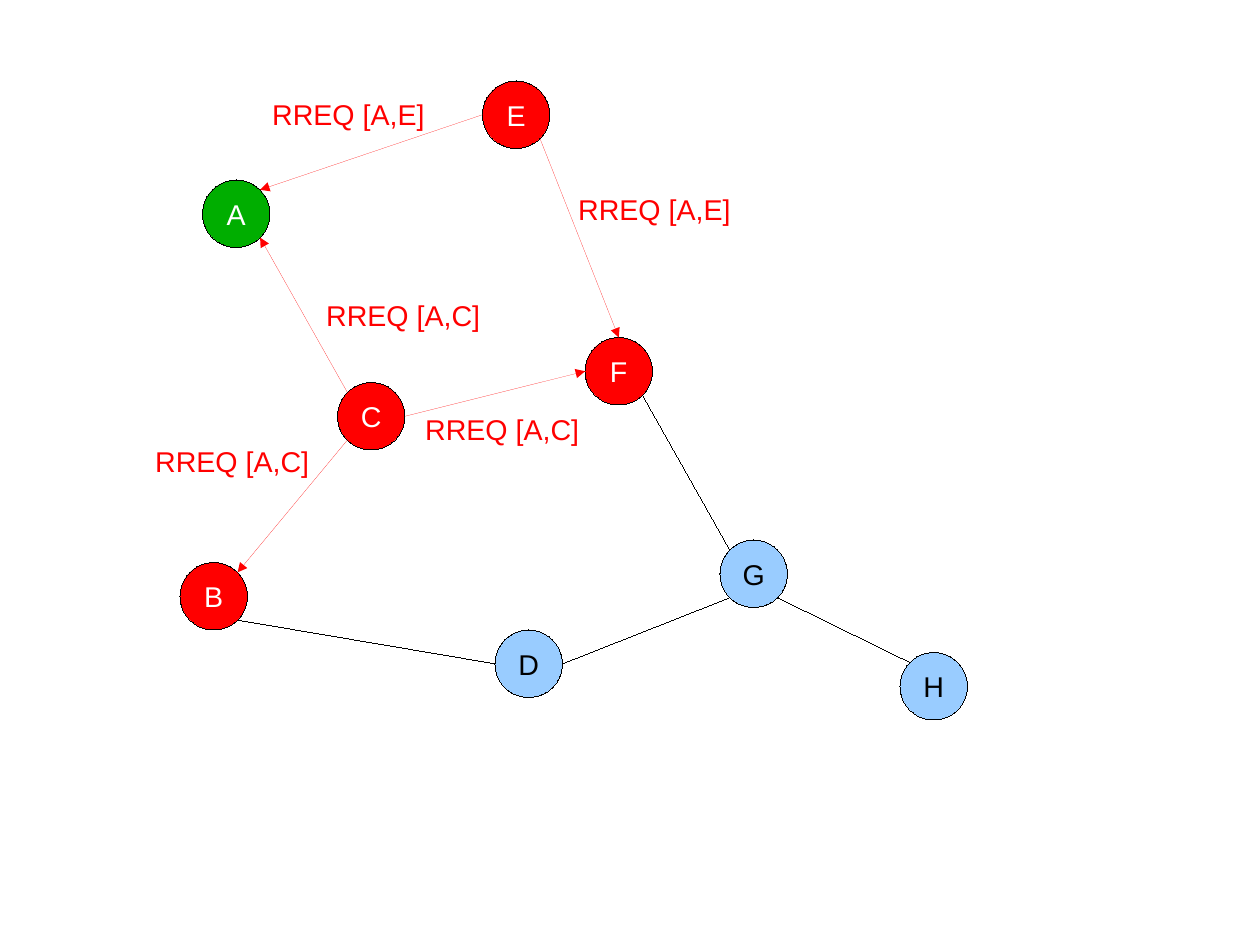
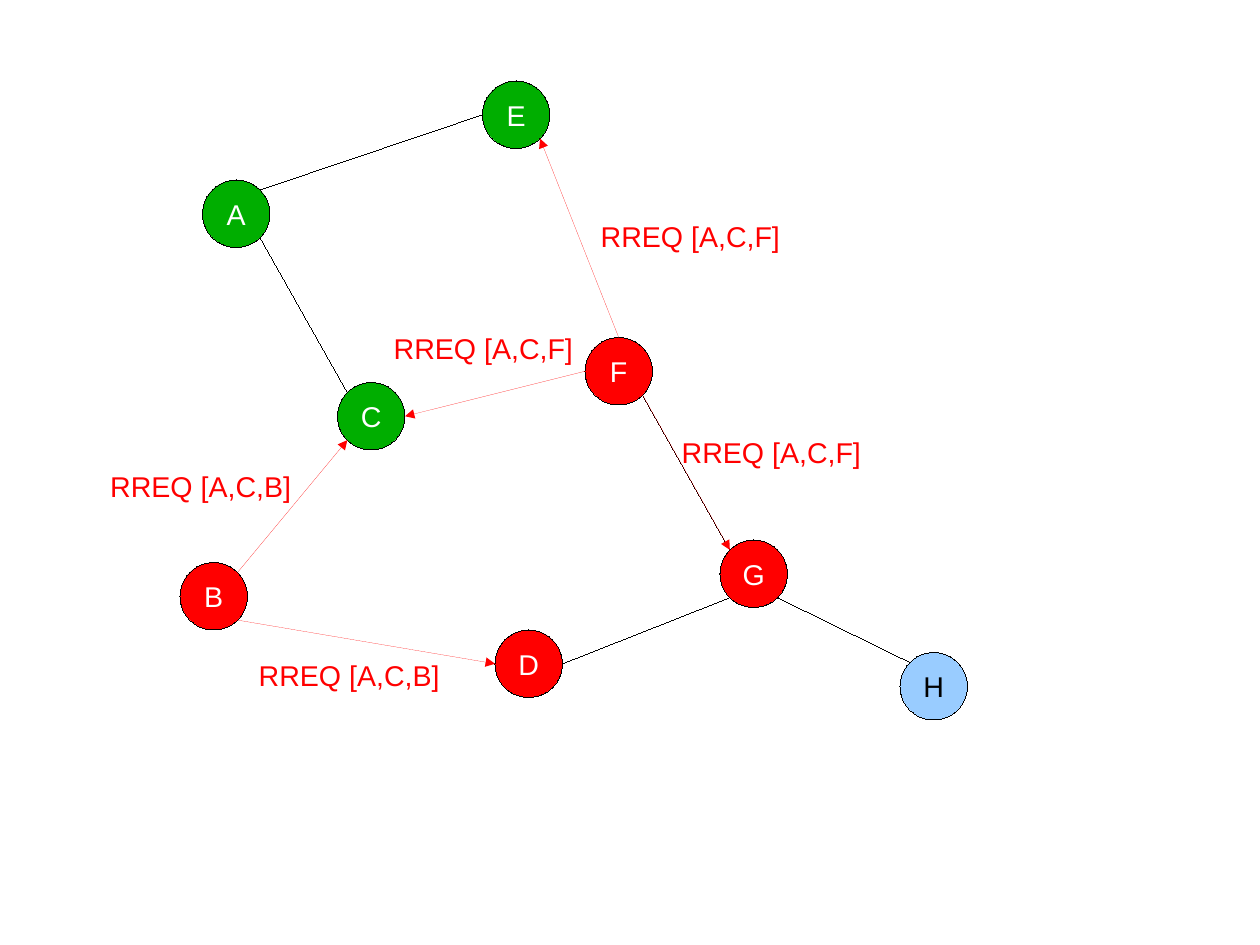
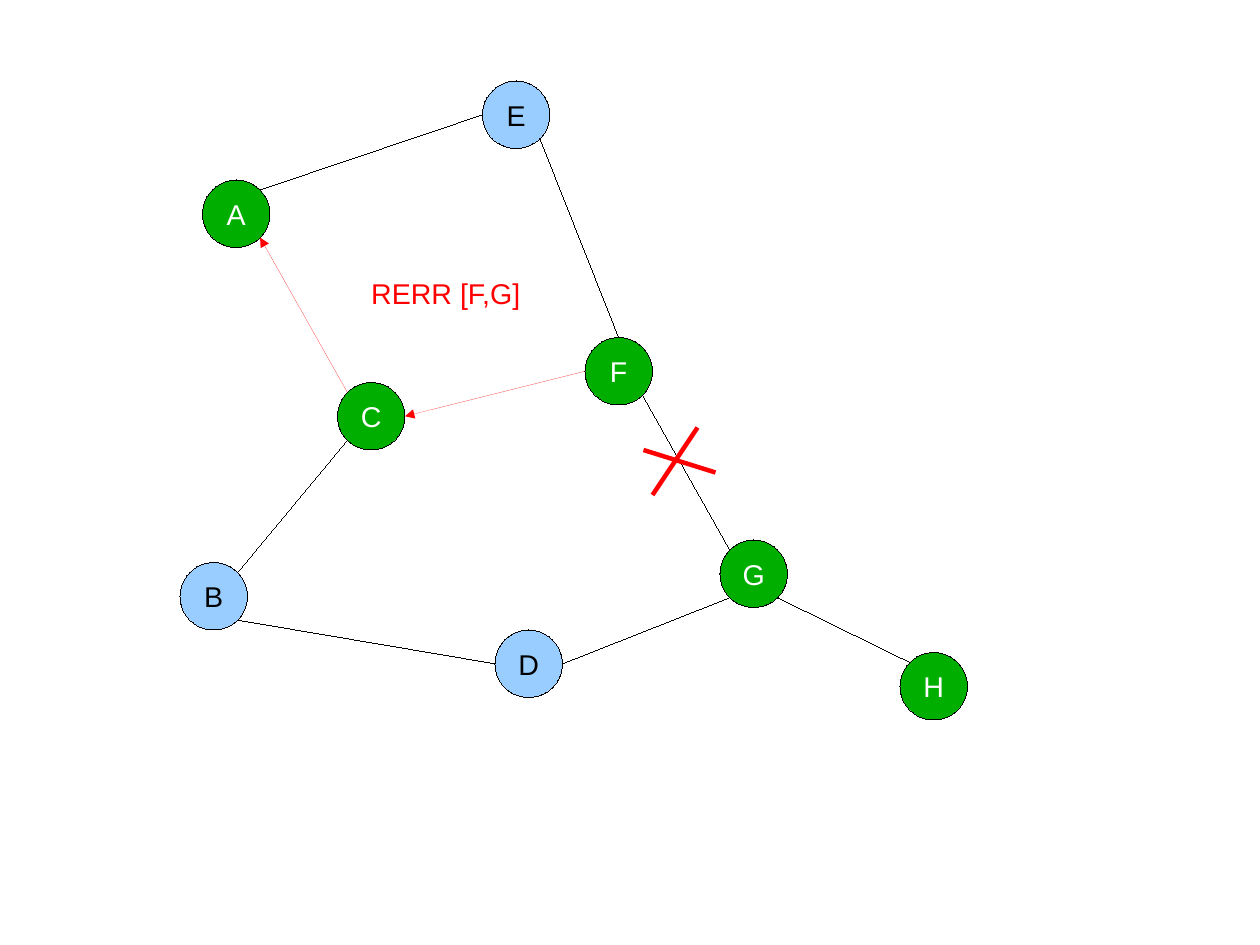
from math import sqrt

from pptx import Presentation
from pptx import util as u
from pptx.dml.color import RGBColor
from pptx.enum import shapes as kinds, text as t
from pptx.oxml import ns, xmlchemy as xml

PX = 7200  # 50 px to the centimetre
SIZE = 75
HAIR = u.Emu(1)  # a width of 0 would fall back to the theme's line
INK = {"green": "00AE00", "red": "FF0000", "blue": "99CCFF",
       "black": "000000", "white": "FFFFFF"}
FONT = {"name": "Arial", "size": u.Pt(18)}

# Left and top of each node
NODES = {"A": (225, 200), "B": (200, 625), "C": (375, 425), "E": (536, 90),
         "D": (550, 700), "F": (650, 375), "G": (800, 600), "H": (1000, 725)}

# Side of the first and of the second node where their link ends
LINKS = {"AE": ("ne", "w"), "AC": ("se", "nw"), "BC": ("ne", "sw"),
         "CF": ("e", "w"), "EF": ("se", "n"), "BD": ("se", "w"),
         "FG": ("se", "nw"), "DG": ("e", "sw"), "GH": ("se", "nw")}
DIAG = 1 / sqrt(2)
SIDES = {"n": (0, -1), "e": (1, 0), "w": (-1, 0), "ne": (DIAG, -DIAG),
         "nw": (-DIAG, -DIAG), "se": (DIAG, DIAG), "sw": (-DIAG, DIAG)}

SLIDES = [
    {"green": "A", "red": "BCEF",
     "plain": ["BD", "FG", "DG", "GH"],
     "arrows": ["CB", "CF", "EF", "CA", "EA"],
     "labels": [("RREQ [A,C]", 350, 325, 210), ("RREQ [A,E]", 290, 102, 196),
                ("RREQ [A,E]", 630, 207, 196), ("RREQ [A,C]", 460, 452, 210),
                ("RREQ [A,C]", 160, 487, 210)],
     "cross": []},
    {"green": "ACE", "red": "BDFG",
     "plain": ["AE", "AC", "FG", "DG", "GH"],
     "arrows": ["BD", "FG", "FE", "FC", "BC"],
     "labels": [("RREQ [A,C,B]", 110, 515, 245), ("RREQ [A,C,F]", 655, 237, 250),
                ("RREQ [A,C,F]", 745, 477, 250), ("RREQ [A,C,F]", 425, 362, 250),
                ("RREQ [A,C,B]", 275, 725, 245)],
     "cross": []},
    {"green": "ACFGH", "red": "",
     "plain": ["AE", "EF", "BC", "BD", "FG", "DG", "GH"],
     "arrows": ["CA", "FC"],
     "labels": [("RERR [F,G]", 400, 300, 210)],
     "cross": [((775, 475), (725, 550)), ((795, 525), (715, 500))]},
]


def write(shape, words, ink, align, anchor):
    frame = shape.text_frame
    frame.word_wrap = True
    frame.vertical_anchor = anchor
    par = frame.paragraphs[0]
    par.alignment = align
    run = par.add_run()
    run.text = words
    for key, val in FONT.items():
        setattr(run.font, key, val)
    run.font.color.rgb = RGBColor.from_string(INK[ink])


def stroke(slide, start, end, ink, width=HAIR, tip=False):
    """Draw a straight line, with an arrowhead at its end if tip is set."""
    ends = [round(n * PX) for n in (*start, *end)]
    line = slide.shapes.add_connector(kinds.MSO_CONNECTOR.STRAIGHT, *ends)
    line.line.color.rgb = RGBColor.from_string(INK[ink])
    line.line.width = width
    props = line._element.spPr
    if tip:
        head = xml.OxmlElement("a:tailEnd")
        head.set("type", "triangle")
        props.find(ns.qn("a:ln")).append(head)
    props.append(xml.OxmlElement("a:effectLst"))


deck = Presentation()
deck.slide_width, deck.slide_height = 1400 * PX, 1050 * PX

for plan in SLIDES:
    slide = deck.slides.add_slide(deck.slide_layouts[6])

    for name, (left, top) in NODES.items():
        fill = next((k for k in ("green", "red") if name in plan[k]), "blue")
        node = slide.shapes.add_shape(kinds.MSO_SHAPE.OVAL, left * PX, top * PX,
                                      SIZE * PX, SIZE * PX)
        node.shadow.inherit = False
        node.fill.solid()
        node.fill.fore_color.rgb = RGBColor.from_string(INK[fill])
        node.line.color.rgb = RGBColor.from_string(INK["black"])
        node.line.width = HAIR
        write(node, name, "black" if fill == "blue" else "white",
              t.PP_ALIGN.CENTER, t.MSO_ANCHOR.MIDDLE)

    for kind, ink in (("plain", "black"), ("arrows", "red")):
        for pair in plan[kind]:
            sides = LINKS[pair] if pair in LINKS else LINKS[pair[::-1]][::-1]
            ends = [[pos + SIZE / 2 * (1 + step)
                     for pos, step in zip(NODES[name], SIDES[side])]
                    for name, side in zip(pair, sides)]
            stroke(slide, *ends, ink, tip=kind == "arrows")

    for words, left, top, wide in plan["labels"]:
        box = slide.shapes.add_textbox(left * PX, top * PX, wide * PX, 48 * PX)
        write(box, words, "red", t.PP_ALIGN.LEFT, t.MSO_ANCHOR.TOP)

    for start, end in plan["cross"]:
        stroke(slide, start, end, "red", u.Pt(2.83))

deck.save("out.pptx")
